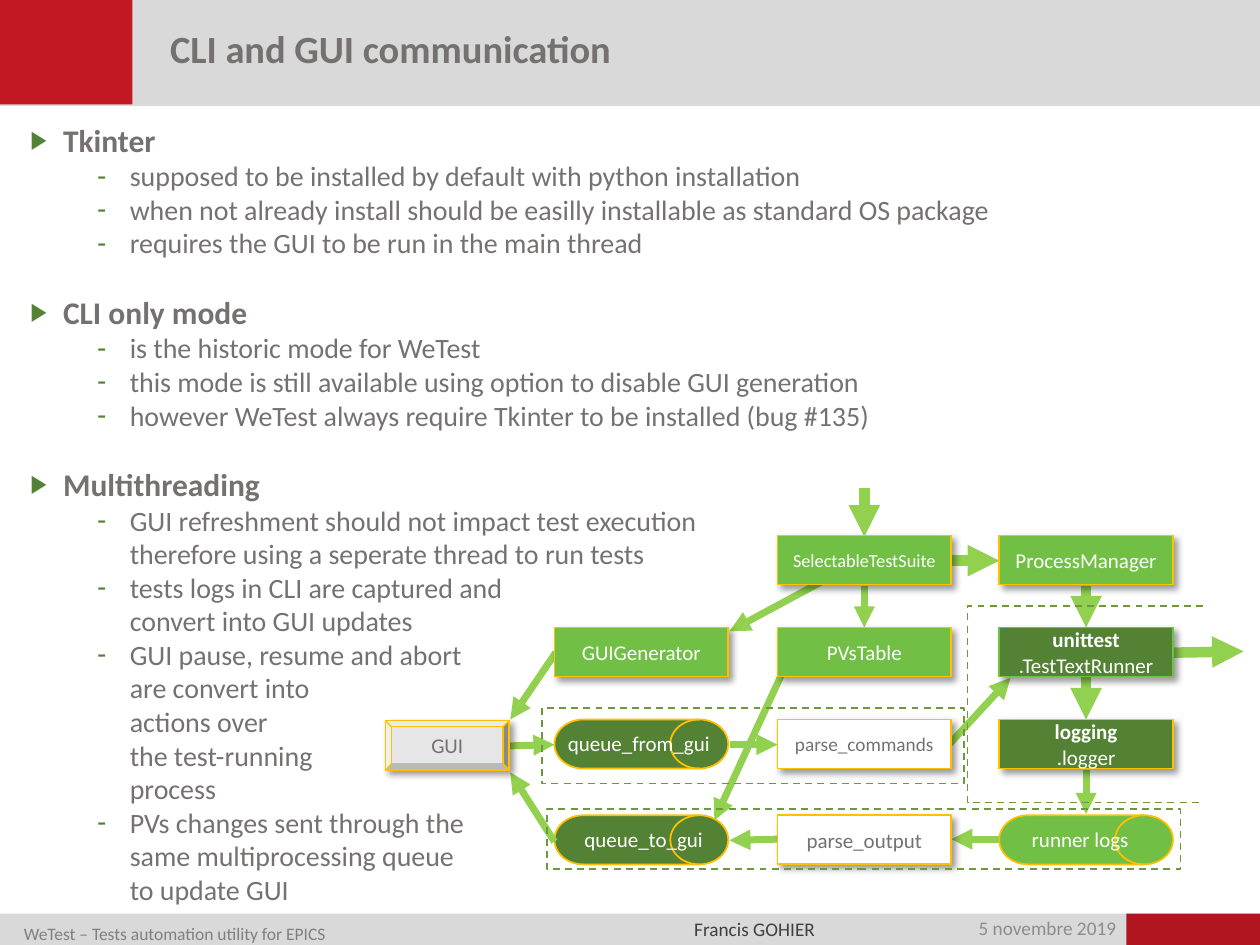
from lxml import etree
from pptx import Presentation
from pptx import util as u
from pptx.dml import color
from pptx.enum import dml, shapes, text
from pptx.oxml import ns

COLORS = {
    "band": "D9D9D9", "red": "C11720", "dark_red": "B1151F",
    "text": "767171", "date": "8C8C8C", "footer": "808080", "author": "3F3F3F",
    "dark_green": "548235", "green": "71BF44", "arrow": "92D050",
    "dash": "6C9A3B", "gold": "FFC000", "grey": "E7E6E6", "white": "FFFFFF",
}
COLUMNS = [4.4, 6.17, 7.93]
ROWS = [4.25, 4.98, 5.71, 6.47]
BOX_WIDTH, BOX_HEIGHT = 1.38, 0.39

TOPICS = [
    ("Tkinter", [
        "supposed to be installed by default with python installation",
        "when not already install should be easilly installable as standard OS package",
        "requires the GUI to be run in the main thread"]),
    ("CLI only mode", [
        "is the historic mode for WeTest",
        "this mode is still available using option to disable GUI generation",
        "however WeTest always require Tkinter to be installed (bug #135)"]),
    ("Multithreading", [
        "GUI refreshment should not impact test execution\n"
        "therefore using a seperate thread to run tests",
        "tests logs in CLI are captured and\nconvert into GUI updates",
        "GUI pause, resume and abort\nare convert into\nactions over\n"
        "the test-running\nprocess",
        "PVs changes sent through the\nsame multiprocessing queue\nto update GUI"]),
]
DRUMS = [
    ("queue_from_gui", 0, 2, "dark_green", 0.01),
    ("queue_to_gui", 0, 3, "dark_green", 0.14),
    ("runner logs", 2, 3, "green", 0.16),
]
BOXES = [
    ("SelectableTestSuite", 1, 0, "green", "gold", "white", 10.5),
    ("ProcessManager", 2, 0, "green", "gold", "white", 12),
    ("GUIGenerator", 0, 1, "green", "gold", "white", 12),
    ("PVsTable", 1, 1, "green", "gold", "white", 12),
    ("unittest\n.TestTextRunner", 2, 1, "dark_green", "green", "white", 12),
    ("parse_commands", 1, 2, "white", "gold", "text", 11),
    ("logging\n.logger", 2, 2, "dark_green", "gold", "white", 12),
    ("parse_output", 1, 3, "white", "gold", "text", 12),
]
ARROWS = [
    (4.4, 6.68, 4.05, 6.13, 4), (4.41, 5.18, 4.05, 5.71, 4),
    (4.04, 5.92, 4.4, 5.91, 4), (6.85, 4.44, 5.79, 5.01, 4),
    (6.86, 3.87, 6.86, 4.26, 6), (6.86, 4.65, 6.86, 4.98, 4),
    (7.55, 4.45, 7.93, 4.45, 6), (8.62, 4.65, 8.62, 4.98, 6),
    (8.62, 5.37, 8.62, 5.71, 6), (8.62, 6.11, 8.62, 6.46, 4),
    (9.31, 5.18, 9.87, 5.17, 6), (5.79, 5.91, 6.17, 5.91, 4),
    (7.54, 5.9, 8.02, 5.38, 4), (6.2, 5.36, 5.67, 6.51, 4),
    (7.93, 6.66, 7.55, 6.66, 4), (6.17, 6.66, 5.79, 6.67, 4),
]


def rgb(name):
    return color.RGBColor.from_string(COLORS[name])


def add_xml(parent, tag, **attributes):
    return etree.SubElement(parent, ns.qn(tag), attributes)


def style_font(font, size, color_name, bold=False):
    font.name = "Calibri"
    font.size = u.Pt(size)
    font.bold = bold
    font.color.rgb = rgb(color_name)


def place(shape, left, top, width, height):
    shape.left, shape.top = u.Inches(left), u.Inches(top)
    shape.width, shape.height = u.Inches(width), u.Inches(height)


def set_margins(frame, horizontal, vertical):
    frame.margin_left = frame.margin_right = u.Inches(horizontal)
    frame.margin_top = frame.margin_bottom = u.Inches(vertical)


def add_shape(slide, kind, bounds, fill, line=None, width=1):
    shape = slide.shapes.add_shape(kind, *map(u.Inches, bounds))
    shape.shadow.inherit = False
    if fill:
        shape.fill.solid()
        shape.fill.fore_color.rgb = rgb(fill)
    else:
        shape.fill.background()
    if line:
        shape.line.color.rgb = rgb(line)
        shape.line.width = u.Pt(width)
    else:
        shape.line.fill.background()
    return shape


def add_label(slide, label, bounds, size, color_name, margins=(0.1, 0.05), wrap=True):
    box = slide.shapes.add_textbox(*map(u.Inches, bounds))
    frame = box.text_frame
    frame.word_wrap = wrap
    set_margins(frame, *margins)
    frame.text = label
    paragraph = frame.paragraphs[0]
    style_font(paragraph.runs[0].font, size, color_name)
    return paragraph


def add_drop_shadow(shape):
    effects = shape.element.spPr.find(ns.qn("a:effectLst"))
    shadow = add_xml(effects, "a:outerShdw", blurRad=str(u.Pt(4)), dist=str(u.Pt(3)),
                     dir="2700000", algn="tl", rotWithShape="0")
    black = add_xml(shadow, "a:srgbClr", val="000000")
    add_xml(black, "a:alpha", val="40000")


def add_box(slide, label, bounds, fill, line, font_color, size,
            kind=shapes.MSO_SHAPE.RECTANGLE, width=1):
    box = add_shape(slide, kind, bounds, fill, line, width)
    add_drop_shadow(box)
    frame = box.text_frame
    frame.vertical_anchor = text.MSO_ANCHOR.MIDDLE
    paragraph = frame.paragraphs[0]
    paragraph.text = label
    paragraph.alignment = text.PP_ALIGN.CENTER
    for index, run in enumerate(paragraph.runs):
        style_font(run.font, size, font_color, bold="\n" in label and index == 0)


def add_drum(slide, label, column, row, fill, indent):
    left, top = COLUMNS[column], ROWS[row]
    add_shape(slide, shapes.MSO_SHAPE.FLOWCHART_DIRECT_ACCESS_STORAGE,
              (left, top, BOX_WIDTH, BOX_HEIGHT), fill, "gold")
    add_label(slide, label, (left + indent, top + 0.04, 1.36, 0.3), 12, "white")


def add_arrow(slide, start_x, start_y, end_x, end_y, width):
    arrow = slide.shapes.add_connector(
        shapes.MSO_CONNECTOR.STRAIGHT, *map(u.Inches, (start_x, start_y, end_x, end_y)))
    arrow.line.color.rgb = rgb("arrow")
    arrow.line.width = u.Pt(width)
    add_xml(arrow.element.spPr.find(ns.qn("a:ln")), "a:tailEnd", type="triangle")
    add_xml(arrow.element.spPr, "a:effectLst")


def add_open_frame(slide, left, top, right, bottom):
    points = [(u.Inches(x), u.Inches(y))
              for x, y in [(right, top), (left, top), (left, bottom), (right, bottom)]]
    builder = slide.shapes.build_freeform(*points[0])
    builder.add_line_segments(points[1:], close=False)
    frame = builder.convert_to_shape()
    frame.shadow.inherit = False
    frame.fill.background()
    frame.line.color.rgb = rgb("dash")
    frame.line.width = u.Pt(1)
    frame.line.dash_style = dml.MSO_LINE.DASH


def add_bullet(paragraph, character, indent, scale):
    properties = paragraph._p.get_or_add_pPr()
    properties.set("marL", str(u.Inches(indent)))
    properties.set("indent", str(u.Inches(-0.26)))
    add_xml(add_xml(properties, "a:buClr"), "a:srgbClr", val=COLORS["dark_green"])
    add_xml(properties, "a:buSzPct", val=str(scale * 1000))
    add_xml(properties, "a:buChar", char=character)


def add_line(frame, label, level, gap):
    first = not frame.paragraphs[0].runs
    paragraph = frame.paragraphs[0] if first else frame.add_paragraph()
    paragraph.text = label
    paragraph.level = level
    if level:
        add_bullet(paragraph, "-", 0.79, 100)
    else:
        add_bullet(paragraph, "▶", 0.26, 80)
    paragraph.space_before = u.Pt(0 if first else gap)
    for run in paragraph.runs:
        style_font(run.font, 16 if level else 18, "text", bold=not level)


def fill_body(body):
    place(body, 0.1, 0.89, 7.96, 6.44)
    frame = body.text_frame
    set_margins(frame, 0.14, 0.07)
    for heading, items in TOPICS:
        add_line(frame, heading, 0, 19.2)
        for item in items:
            add_line(frame, item, 1, 0)


def fill_title(title):
    place(title, 1.21, 0.21, 8.33, 0.41)
    frame = title.text_frame
    set_margins(frame, 0.14, 0.05)
    frame.vertical_anchor = text.MSO_ANCHOR.MIDDLE
    frame.text = "CLI and GUI communication"
    paragraph = frame.paragraphs[0]
    paragraph.alignment = text.PP_ALIGN.LEFT
    paragraph.line_spacing = 0.8
    style_font(paragraph.runs[0].font, 22, "text", bold=True)
    title.element.getparent().append(title.element)


def add_bands(slide):
    for bounds, fill in [((0, 7.25, 10, 0.25), "band"), ((0, 0, 10, 0.84), "band"),
                         ((8.94, 7.25, 1.06, 0.25), "dark_red"), ((0, 0, 1.05, 0.83), "red")]:
        add_shape(slide, shapes.MSO_SHAPE.RECTANGLE, bounds, fill)


def add_footer(slide):
    margins = (0.08, 0)
    date = add_label(slide, "5 novembre 2019", (7.21, 7.29, 1.73, 0.17), 11, "date", margins)
    date.alignment = text.PP_ALIGN.RIGHT
    date.line_spacing = 0.9
    footer = add_label(slide, "WeTest – Tests automation utility for EPICS",
                       (0.11, 7.26, 4.52, 0.21), 10, "footer", margins)
    footer.line_spacing = 1.4
    add_label(slide, "Francis GOHIER", (5.43, 7.28, 1.13, 0.19), 11, "author", margins, False)


def add_diagram(slide):
    for drum in DRUMS:
        add_drum(slide, *drum)
    for arrow in ARROWS:
        add_arrow(slide, *arrow)
    add_box(slide, "GUI", (3.06, 5.72, 0.98, BOX_HEIGHT), "grey", "gold", "text", 12,
            shapes.MSO_SHAPE.BEVEL, 0.75)
    for label, column, row, *style in BOXES:
        add_box(slide, label, (COLUMNS[column], ROWS[row], BOX_WIDTH, BOX_HEIGHT), *style)
    for bounds in [(4.3, 5.62, 3.35, 0.6), (4.34, 6.42, 5.03, 0.48)]:
        group = add_shape(slide, shapes.MSO_SHAPE.RECTANGLE, bounds, None, "dash")
        group.line.dash_style = dml.MSO_LINE.DASH
    add_open_frame(slide, 7.68, 4.81, 9.55, 6.37)


def main():
    presentation = Presentation()
    presentation.slide_width, presentation.slide_height = u.Inches(10), u.Inches(7.5)
    slide = presentation.slides.add_slide(presentation.slide_layouts[1])
    add_bands(slide)
    add_footer(slide)
    fill_body(slide.placeholders[1])
    fill_title(slide.shapes.title)
    add_diagram(slide)
    presentation.save("out.pptx")


if __name__ == "__main__":
    main()
